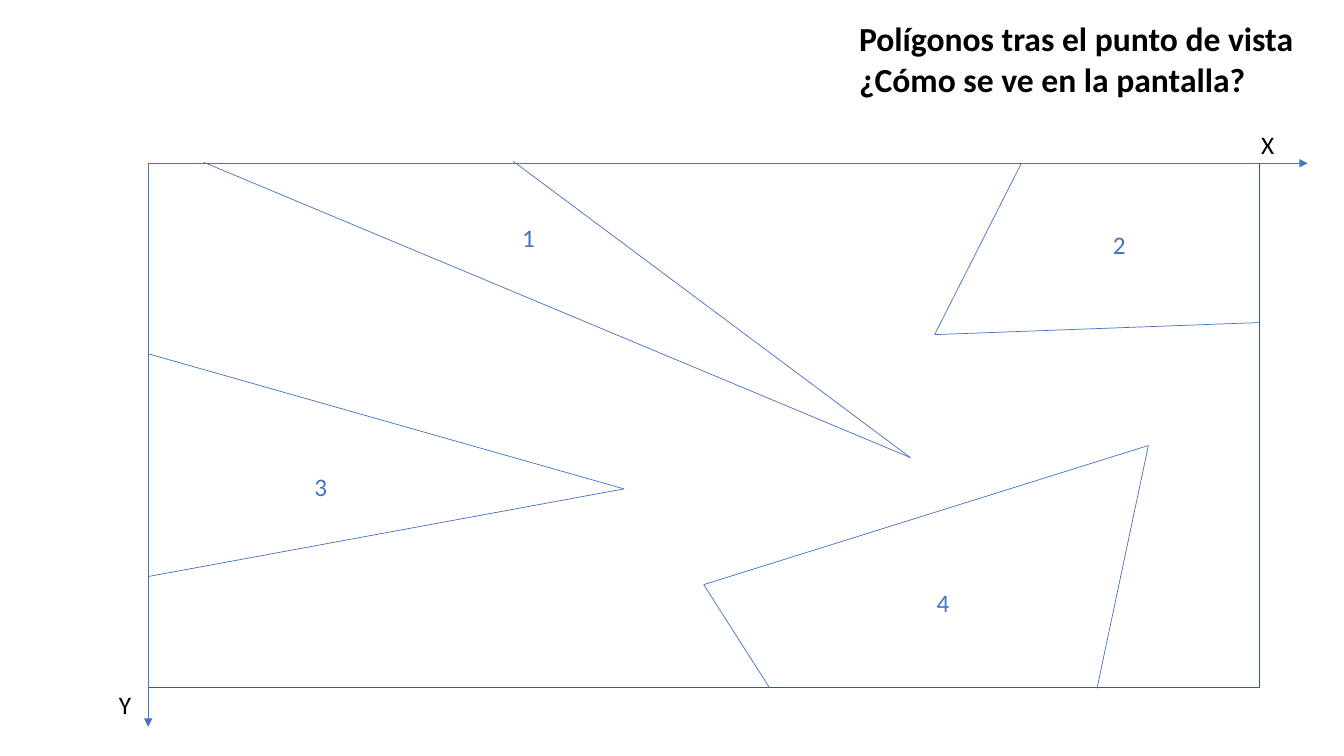
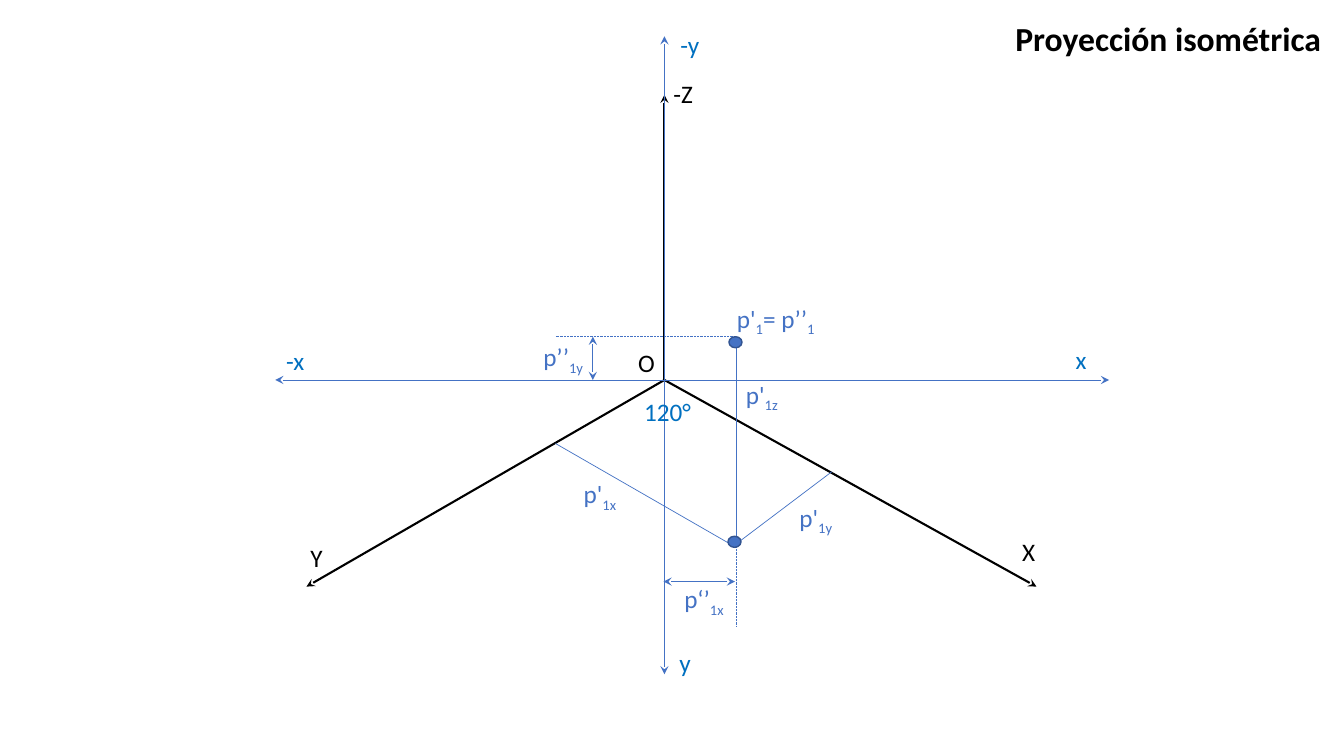
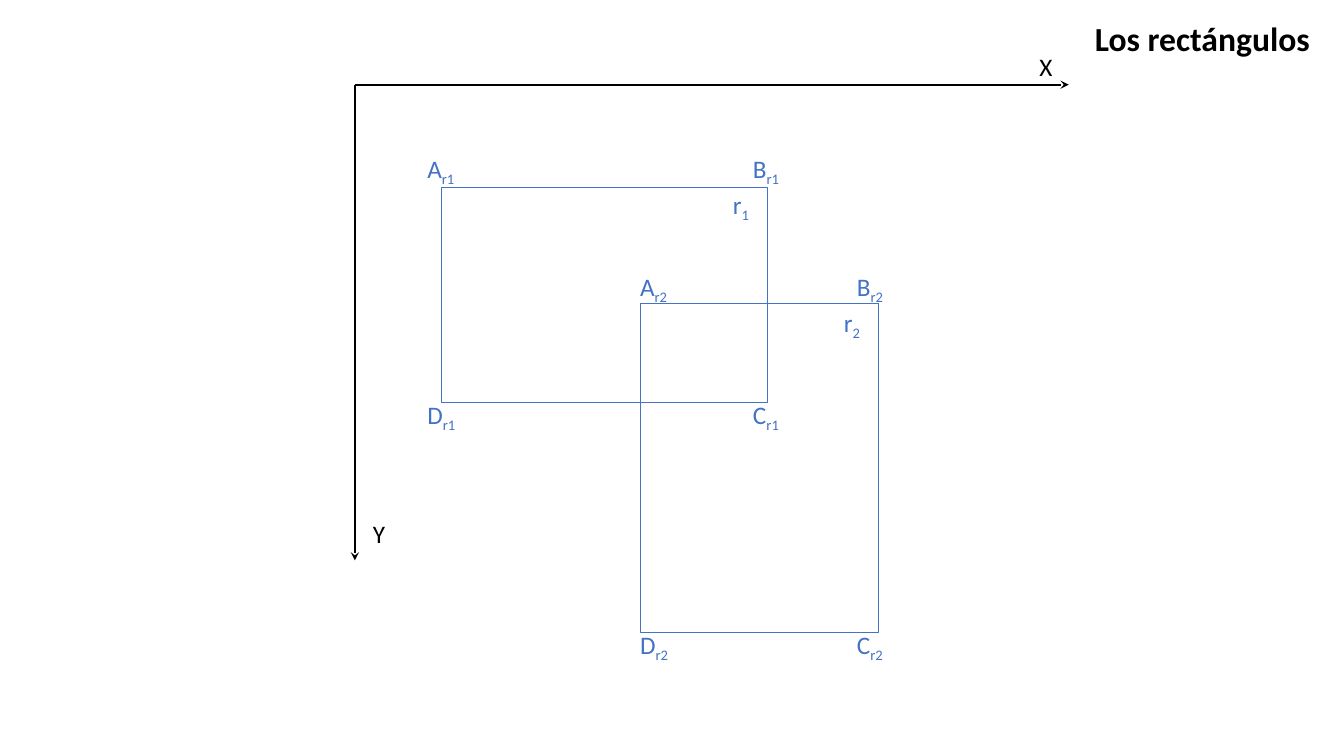
from dataclasses import dataclass
from itertools import pairwise

from lxml.etree import SubElement
from pptx import Presentation
from pptx.dml.color import RGBColor
from pptx.enum.dml import MSO_LINE as Dash
from pptx.enum.shapes import MSO_CONNECTOR as Conn, MSO_SHAPE as Kind
from pptx.enum.text import MSO_ANCHOR as Anchor, MSO_AUTO_SIZE as Fit, PP_ALIGN as Align
from pptx.oxml.ns import qn
from pptx.util import Inches, Pt


@dataclass(frozen=True)
class Theme:
    font: str = "Calibri"
    black: str = "000000"
    white: str = "FFFFFF"
    blue: str = "4472C4"
    navy: str = "325491"
    sky: str = "0070C0"
    head: int = 24
    body: int = 18
    thin: float = 0.5
    edge: float = 1
    bold: float = 1.5


T = Theme()

VIEW = {
    "title": ("Polígonos tras el punto de vista\n¿Cómo se ve en la pantalla?", 8.42, 4.55, 0.91),
    "screen": (1.47, 1.62, 11.02, 5.2),
    "axes": [((1.47, 1.62), (12.97, 1.62)), ((1.47, 1.62), (1.47, 7.21))],
    "polys": [
        [(5.09, 1.6), (9.03, 4.54), (2.02, 1.61)],
        [(10.13, 1.62), (9.27, 3.32), (12.49, 3.2)],
        [(1.47, 3.51), (6.19, 4.85), (1.47, 5.72)],
        [(7.63, 6.82), (6.98, 5.8), (11.39, 4.42), (10.88, 6.83)],
    ],
    "names": [("X", 12.41, 1.23, 0.39), ("Y", 1.08, 6.79, 0.39)],
    "marks": [("1", 5.08, 2.16, 0.45), ("2", 10.94, 2.23, 0.45),
              ("3", 3.02, 4.63, 0.45), ("4", 9.19, 5.78, 0.45)],
}

ISO = {
    "title": ("Proyección isométrica", 9.97, 3.26, 0.5),
    "axes": [((6.59, 3.77), end) for end in [(6.59, 0.94), (3.04, 5.82), (10.28, 5.82)]],
    "spans": [((2.73, 3.77), (11, 3.77)), ((6.59, 0.36), (6.59, 6.69)),
              ((7.29, 5.77), (6.58, 5.77)), ((5.88, 3.34), (5.88, 3.77))],
    "sides": [((7.3, 3.45), (7.3, 5.43)), ((5.51, 4.4), (7.3, 5.43)),
              ((7.31, 5.39), (8.25, 4.68))],
    "guides": [((7.3, 3.34), (5.51, 3.34)), ((7.3, 5.43), (7.3, 6.21))],
    "dots": [(7.23, 3.34, 0.13, 0.11), (7.22, 5.32, 0.13, 0.11)],
    "names": [("-Z", 6.58, 0.73, 0.45), ("Y", 2.98, 5.33, 0.32),
              ("X", 10.04, 5.27, 0.27), ("O", 6.23, 3.4, 0.39)],
    "plane": [("120°", 6.29, 3.88, 0.89), ("x", 10.57, 3.37, 0.27), ("y", 6.64, 6.37, 0.27),
              ("-y", 6.65, 0.24, 0.49), ("-x", 2.74, 3.38, 0.49)],
    "marks": [("p'_1_= p’’_1", 7.21, 2.96, 1.17), ("p'_1y", 7.83, 4.93, 0.73),
              ("p'_1x", 5.69, 4.7, 0.73), ("p'_1z", 7.3, 3.71, 0.73),
              ("p‘’_1x", 6.69, 5.74, 0.73), ("p’’_1y", 5.29, 3.34, 0.73)],
}

RECTS = {
    "title": ("Los rectángulos", 10.76, 2.36, 0.5),
    "axes": [((3.52, 0.84), (3.52, 5.56)), ((3.52, 0.84), (10.6, 0.84))],
    "names": [("Y", 3.6, 5.09, 0.32), ("X", 10.21, 0.46, 0.29)],
    "boxes": [
        {"at": (4.38, 1.86, 3.23, 2.13), "name": (7.17, 1.83),
         "cols": (4.14, 7.37), "rows": (1.47, 3.91)},
        {"at": (6.35, 3.01, 2.36, 3.26), "name": (8.27, 3),
         "cols": (6.25, 8.4), "rows": (2.64, 6.19)},
    ],
}

CORNERS = {"A": (0, 0), "B": (1, 0), "C": (1, 1), "D": (0, 1)}


def style(run, size, color, bold=False):
    font = run.font
    font.name, font.size, font.bold = T.font, Pt(size), bold
    font.color.rgb = RGBColor.from_string(color)


def start(deck, title):
    text, left, width, height = title
    slide = deck.slides.add_slide(deck.slide_layouts[5])
    head = slide.shapes.title
    head.left, head.top = Inches(left), Inches(0.13)
    head.width, head.height = Inches(width), Inches(height)
    frame = head.text_frame
    frame.text = text
    frame.word_wrap = False
    frame.auto_size = Fit.SHAPE_TO_FIT_TEXT
    frame.vertical_anchor = Anchor.TOP
    for para in frame.paragraphs:
        para.alignment = Align.LEFT
        for run in para.runs:
            style(run, T.head, T.black, True)
    return slide


def label(slide, item, color):
    text, left, top, width = item
    box = slide.shapes.add_textbox(Inches(left), Inches(top), Inches(width), Inches(0.4))
    frame = box.text_frame
    frame.word_wrap = True
    frame.auto_size = Fit.SHAPE_TO_FIT_TEXT
    for i, part in enumerate(text.split("_")):
        run = frame.paragraphs[0].add_run()
        run.text = part
        style(run, T.body, color)
        if i % 2:
            run.font._element.set("baseline", "-25000")


def labels(slide, items, color):
    for item in items:
        label(slide, item, color)


def line(slide, pair, color=T.blue, width=T.thin, dash=None, head=None, tail=None):
    ends = [Inches(v) for point in pair for v in point]
    link = slide.shapes.add_connector(Conn.STRAIGHT, *ends)
    link.line.color.rgb = RGBColor.from_string(color)
    link.line.width = Pt(width)
    if dash:
        link.line.dash_style = dash
    props = link._element.spPr
    for tag, tip in (("a:headEnd", head), ("a:tailEnd", tail)):
        if tip:
            SubElement(props.find(qn("a:ln")), qn(tag), type=tip)
    SubElement(props, qn("a:effectLst"))


def shape(slide, kind, at, color, width, fill=None):
    item = slide.shapes.add_shape(kind, *map(Inches, at))
    item.shadow.inherit = False
    item.line.color.rgb = RGBColor.from_string(color)
    item.line.width = Pt(width)
    if fill:
        item.fill.solid()
        item.fill.fore_color.rgb = RGBColor.from_string(fill)
    else:
        item.fill.background()


def view(deck):
    slide = start(deck, VIEW["title"])
    shape(slide, Kind.RECTANGLE, VIEW["screen"], T.navy, T.edge, T.white)
    for pair in VIEW["axes"]:
        line(slide, pair, tail="triangle")
    for poly in VIEW["polys"]:
        for pair in pairwise(poly):
            line(slide, pair)
    labels(slide, VIEW["names"], T.black)
    labels(slide, VIEW["marks"], T.blue)


def iso(deck):
    slide = start(deck, ISO["title"])
    for pair in ISO["axes"]:
        line(slide, pair, T.black, T.bold, tail="stealth")
    for pair in ISO["spans"]:
        line(slide, pair, head="stealth", tail="stealth")
    for pair in ISO["sides"]:
        line(slide, pair)
    for pair in ISO["guides"]:
        line(slide, pair, dash=Dash.ROUND_DOT)
    for dot in ISO["dots"]:
        shape(slide, Kind.OVAL, dot, T.navy, T.edge, T.blue)
    labels(slide, ISO["names"], T.black)
    labels(slide, ISO["plane"], T.sky)
    labels(slide, ISO["marks"], T.blue)


def rects(deck):
    slide = start(deck, RECTS["title"])
    for pair in RECTS["axes"]:
        line(slide, pair, T.black, T.bold, tail="stealth")
    labels(slide, RECTS["names"], T.black)
    for n, box in enumerate(RECTS["boxes"], 1):
        shape(slide, Kind.RECTANGLE, box["at"], T.blue, T.thin)
        label(slide, (f"r_{n}", *box["name"], 0.72), T.blue)
        for name, (col, row) in CORNERS.items():
            label(slide, (f"{name}_r{n}", box["cols"][col], box["rows"][row], 0.56), T.blue)


def main():
    deck = Presentation()
    deck.slide_width, deck.slide_height = Inches(13.33), Inches(7.5)
    for build in (view, iso, rects):
        build(deck)
    deck.save("out.pptx")


if __name__ == "__main__":
    main()
